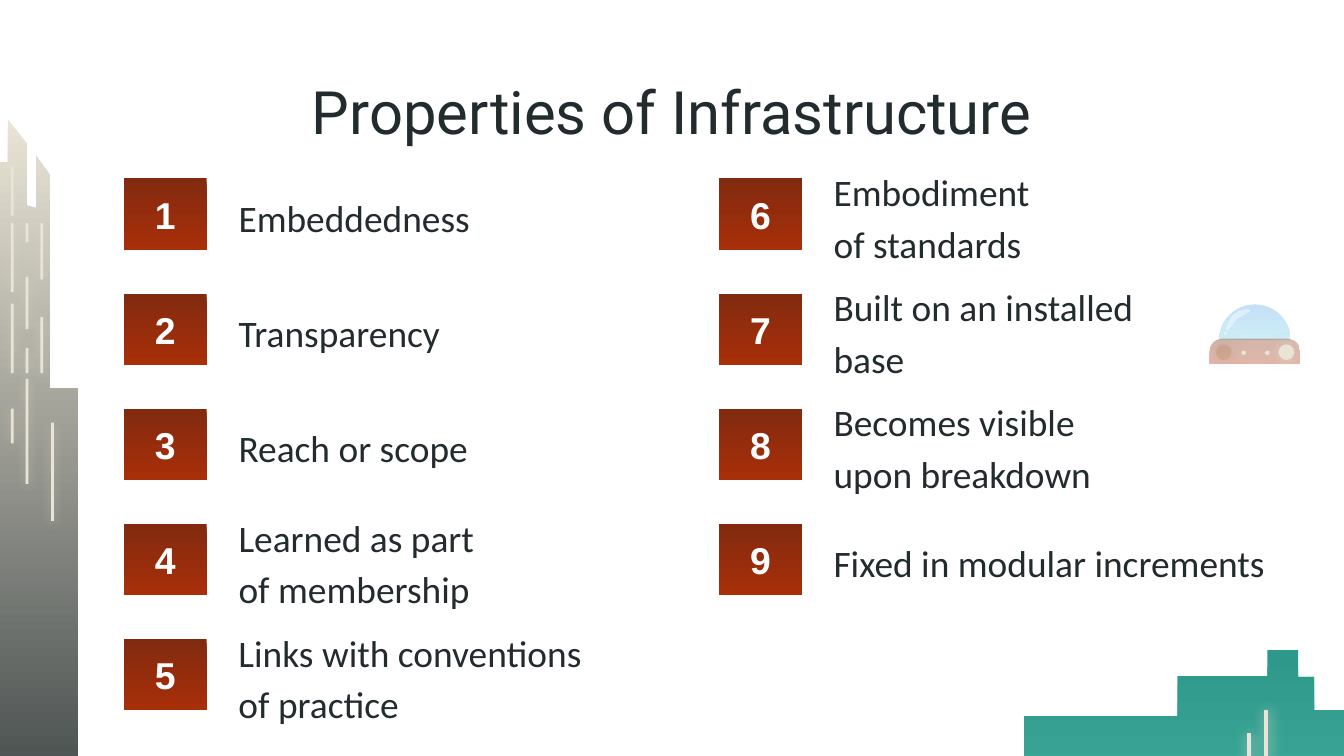
"""Build the slide listing nine properties of infrastructure beside a city skyline."""
import math

from lxml import etree
from pptx import Presentation
from pptx.dml.color import RGBColor
from pptx.enum.shapes import MSO_SHAPE
from pptx.enum.text import MSO_ANCHOR, PP_ALIGN
from pptx.oxml.ns import qn
from pptx.util import Pt

RECTANGLE, OVAL = MSO_SHAPE.RECTANGLE, MSO_SHAPE.OVAL
ROUND_TOP = MSO_SHAPE.ROUND_2_SAME_RECTANGLE
LEFT, CENTER = PP_ALIGN.LEFT, PP_ALIGN.CENTER
TOP, MIDDLE = MSO_ANCHOR.TOP, MSO_ANCHOR.MIDDLE

COLORS = {
    "ink": "222B2E", "white": "FFFFFF", "sand": "E9E4D5",
    "rust_dark": "812A0F", "rust": "A92F09",
    "teal": "2E998A", "mint": "57C3B4",
    "sky": "C5E0F7", "pale_sky": "CCEDF6",
}
TITLE = "Properties of Infrastructure"
COLUMNS = [
    {"badge_left": 66.4, "text_left": 120.7, "items": [
        (["Embeddedness"], 193.7),
        (["Transparency"], 193.7),
        (["Reach or scope"], 239),
        (["Learned as part", "of membership"], 239),
        (["Links with conventions", "of practice"], 232.6)]},
    {"badge_left": 385.2, "text_left": 439.5, "items": [
        (["Embodiment", "of standards"], 240.5),
        (["Built on an installed base"], 201.6),
        (["Becomes visible", "upon breakdown"], 254.2),
        (["Fixed in modular increments"], 254.2)]},
]
ROW_HEIGHTS = [44, 44, 61.2, 44, 67]
FIRST_CENTER, ROW_PITCH = 114.7, 61.7
BADGE_WIDTH, BADGE_HEIGHT = 44.4, 38.2

TEAL_BLOCK = [
    (679, 348.2), (679, 362.2), (630.9, 362.2), (630.9, 383.7), (548.6, 383.7),
    (548.6, 544), (849.6, 544), (849.6, 371.5), (799.2, 371.5), (799.2, 351.4),
    (746.6, 351.4), (746.6, 416.9), (732.2, 416.9), (732.2, 380.6),
    (704, 380.6), (704, 362.6), (695.5, 362.6), (695.5, 348.2)]
TEAL_WINDOWS = [(677.5, 380.9, 25.9), (668.2, 393.1, 46.8)]
TOWER = [
    (4.3, 64.1), (4.3, 87.1), (-5.8, 87.1), (-5.8, 77), (-13.7, 77),
    (-13.7, 118.1), (-18, 118.1), (-18, 77), (-30.2, 77), (-30.2, 505.4),
    (41.8, 505.4), (41.8, 208.1), (26.6, 208.1), (26.6, 93.6), (19.4, 83.5),
    (19.4, 111.6), (14.4, 110.2), (14.4, 77)]
TOWER_WINDOWS = {
    27.4: [(226.4, 52.7, 1.5)],
    21.6: [(169.9, 29.9, 1.5), (119.5, 30.2, 0)],
    13.7: [(186.5, 13.3, 1.5), (148.3, 28.1, 0), (203, 56.2, 1.5), (119.5, 10.1, 0)],
    5.8: [(89.3, 26.3, 0), (162.7, 37.1, 0), (119.5, 37, 0), (218.9, 18.7, 0)],
}
DOME_CENTER, DOME_BASE, DOME_RADIUS = 672.3, 182.2, 19.1
HIGHLIGHT = [
    (668.2, 165.6), (669.6, 166.2), (669.6, 167), (662.5, 171), (658.1, 176.6),
    (657.4, 177.1), (656.6, 176.4), (659.5, 169.5), (664, 166.4)]
KNOB_BEHIND = (651.4, 184.5, 8.4)
LIGHTS = [(677.7, 187.8, 2.4), (665, 187.8, 2.4), (685, 184.5, 8.4)]


def rgb(name):
    return RGBColor.from_string(COLORS[name])


def style(shape, *names, alpha=None, glow=None, line=None):
    shape.shadow.inherit = False
    if len(names) == 1:
        shape.fill.solid()
        shape.fill.fore_color.rgb = rgb(names[0])
    else:
        shape.fill.gradient()
        shape.fill.gradient_angle = 270
        for stop, name in zip(shape.fill.gradient_stops, names):
            stop.color.rgb = rgb(name)
    properties = shape.element.spPr
    if alpha:
        for color in properties.iter(qn("a:srgbClr")):
            etree.SubElement(color, qn("a:alpha"), val=str(alpha * 1000))
    if line:
        shape.line.color.rgb = rgb(line)
        shape.line.width = Pt(0.75)
    else:
        shape.line.fill.background()
    if glow:
        opacity, blur, distance, angle = glow
        shadow = etree.SubElement(
            properties.find(qn("a:effectLst")), qn("a:outerShdw"),
            blurRad=str(Pt(blur)), dist=str(Pt(distance)), dir=str(angle * 60000),
            algn="bl", rotWithShape="0")
        color = etree.SubElement(shadow, qn("a:srgbClr"), val=COLORS["sand"])
        etree.SubElement(color, qn("a:alpha"), val=str(opacity * 1000))


def add_preset(slide, kind, left, top, width, height, *names, **look):
    shape = slide.shapes.add_shape(kind, Pt(left), Pt(top), Pt(width), Pt(height))
    style(shape, *names, **look)
    return shape


def add_outline(slide, points, *names, **look):
    first, *rest = [(Pt(x), Pt(y)) for x, y in points]
    builder = slide.shapes.build_freeform(*first)
    builder.add_line_segments(rest, close=True)
    style(builder.convert_to_shape(), *names, **look)


def write(shape, lines, *, size=20, font="Calibri", color="ink", bold=False,
          align=LEFT, anchor=MIDDLE, spacing=1.0):
    frame = shape.text_frame
    frame.word_wrap = True
    frame.vertical_anchor = anchor
    frame.margin_left = frame.margin_right = Pt(7.2)
    frame.margin_top = frame.margin_bottom = Pt(7.2)
    for index, line in enumerate(lines):
        paragraph = frame.add_paragraph() if index else frame.paragraphs[0]
        paragraph.alignment = align
        paragraph.line_spacing = spacing
        run = paragraph.add_run()
        run.text = line
        run.font.size = Pt(size)
        run.font.name = font
        run.font.bold = bold
        run.font.color.rgb = rgb(color)


def add_text(slide, left, top, width, height, lines, **text_format):
    box = slide.shapes.add_textbox(Pt(left), Pt(top), Pt(width), Pt(height))
    write(box, lines, **text_format)


def add_skyline(slide):
    add_outline(slide, TEAL_BLOCK, "teal", "mint")
    for left, top, height in TEAL_WINDOWS:
        add_preset(slide, RECTANGLE, left, top, 1.5, height, "sand",
                   line="sand", glow=(71, 6.8, 0.8, 0))
    add_outline(slide, TOWER, "sand", "ink")
    for left, windows in TOWER_WINDOWS.items():
        for top, height, distance in windows:
            add_preset(slide, RECTANGLE, left, top, 1.5, height, "sand",
                       glow=(50, 5.6, distance, 90))


def add_properties(slide):
    number = 0
    for column in COLUMNS:
        for row, (lines, width) in enumerate(column["items"]):
            number += 1
            center = FIRST_CENTER + row * ROW_PITCH
            height = ROW_HEIGHTS[row]
            badge = add_preset(slide, RECTANGLE, column["badge_left"],
                               center - BADGE_HEIGHT / 2, BADGE_WIDTH, BADGE_HEIGHT,
                               "rust_dark", "rust")
            write(badge, [str(number)], font="Arial", color="white", bold=True,
                  align=CENTER)
            add_text(slide, column["text_left"], center - height / 2, width, height,
                     lines, spacing=1.15)


def add_light(slide, left, top, diameter):
    add_preset(slide, OVAL, left, top, diameter, diameter, "sand", glow=(60, 6.8, 0, 0))


def add_saucer(slide):
    angles = [math.pi * step / 24 for step in range(25)]
    dome = [(DOME_CENTER - DOME_RADIUS * math.cos(angle),
             DOME_BASE - DOME_RADIUS * math.sin(angle)) for angle in angles]
    add_outline(slide, dome, "sky", "pale_sky")
    add_outline(slide, HIGHLIGHT, "white", alpha=45)
    add_light(slide, *KNOB_BEHIND)
    add_preset(slide, OVAL, 655.7, 177.8, 1.8, 1.6, "white", alpha=45)
    base = add_preset(slide, ROUND_TOP, 648.2, 181.5, 48.2, 13.5,
                      "rust_dark", "rust", alpha=34)
    base.adjustments[0] = 0.5
    for light in LIGHTS:
        add_light(slide, *light)


def main():
    presentation = Presentation()
    presentation.slide_width, presentation.slide_height = Pt(720), Pt(405)
    slide = presentation.slides.add_slide(presentation.slide_layouts[6])
    add_skyline(slide)
    add_text(slide, 56.2, 33.1, 607.7, 46.1, [TITLE], size=32, font="Roboto",
             align=CENTER, anchor=TOP)
    add_properties(slide)
    add_saucer(slide)
    presentation.save("out.pptx")


if __name__ == "__main__":
    main()
